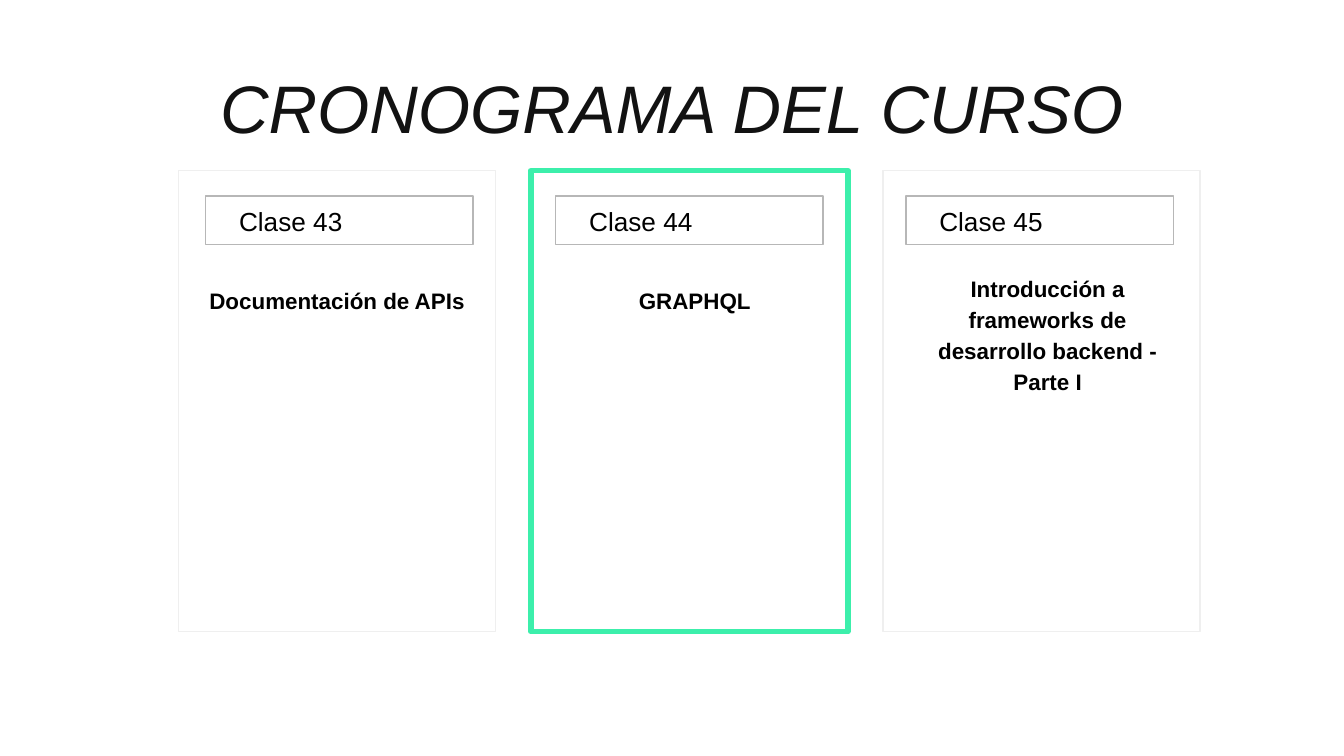
"""Build the course schedule slide with three class cards."""
from pptx import Presentation
from pptx import util as u
from pptx.dml.color import RGBColor
from pptx.enum import shapes, text

PX = 9144
TITLE = "CRONOGRAMA DEL CURSO"
LEFT, CENTER = text.PP_ALIGN.LEFT, text.PP_ALIGN.CENTER
CLASSES = [
    {"label": "Clase 43", "topic": "Documentación de APIs", "box": (146, 201, 226, 46),
     "align": LEFT, "line": ("EFEFEF", 0.75)},
    {"label": "Clase 44", "topic": "GRAPHQL", "box": (407, 201, 220, 46),
     "align": CENTER, "line": ("3CEFAB", 3)},
    {"label": "Clase 45", "topic": "Introducción a frameworks de desarrollo backend - Parte I",
     "box": (672, 192, 215, 46), "align": CENTER, "line": ("EFEFEF", 0.75)},
]
CARD_LEFT, CARD_PITCH = 133, 262
LABEL_LEFT, LABEL_PITCH = 153, 260.5


def color(value):
    return RGBColor.from_string(value)


def emu(*lengths):
    return [u.Emu(round(n * PX)) for n in lengths]


def add_frame(s, box, line, width):
    sp = s.shapes.add_shape(shapes.MSO_SHAPE.RECTANGLE, *emu(*box))
    sp.shadow.inherit = False
    sp.fill.background()
    sp.line.color.rgb = color(line)
    sp.line.width = u.Pt(width)


def write(sp, content, size, align=LEFT, ink="000000", bold=False, italic=False,
          spacing=1.0, anchor=text.MSO_ANCHOR.TOP):
    tf = sp.text_frame
    tf.word_wrap = True
    tf.auto_size = text.MSO_AUTO_SIZE.NONE
    tf.vertical_anchor = anchor
    tf.margin_left = tf.margin_right = tf.margin_top = tf.margin_bottom = u.Inches(0.1)
    p = tf.paragraphs[0]
    p.text = content
    p.alignment = align
    p.line_spacing = spacing
    p.font.name = "Arial"
    p.font.size = u.Pt(size)
    p.font.bold = bold
    p.font.italic = italic
    p.font.color.rgb = color(ink)


def main():
    prs = Presentation()
    prs.slide_width, prs.slide_height = emu(1000, 562.5)
    s = prs.slides.add_slide(prs.slide_layouts[5])

    title = s.shapes.title
    title.left, title.top, title.width, title.height = emu(153, 25, 694, 108)
    write(title, TITLE, 36, CENTER, "121212", italic=True, anchor=text.MSO_ANCHOR.MIDDLE)

    for i, item in enumerate(CLASSES):
        label_x = LABEL_LEFT + i * LABEL_PITCH
        add_frame(s, (CARD_LEFT + i * CARD_PITCH, 127, 236, 343), *item["line"])
        add_frame(s, (label_x, 146, 199, 36), "B7B7B7", 0.75)
        label = s.shapes.add_textbox(*emu(label_x + 15, 143, 135, 40))
        write(label, item["label"], 14)
        topic = s.shapes.add_textbox(*emu(*item["box"]))
        write(topic, item["topic"], 12, item["align"], bold=True, spacing=1.15)

    prs.save("out.pptx")


if __name__ == "__main__":
    main()
